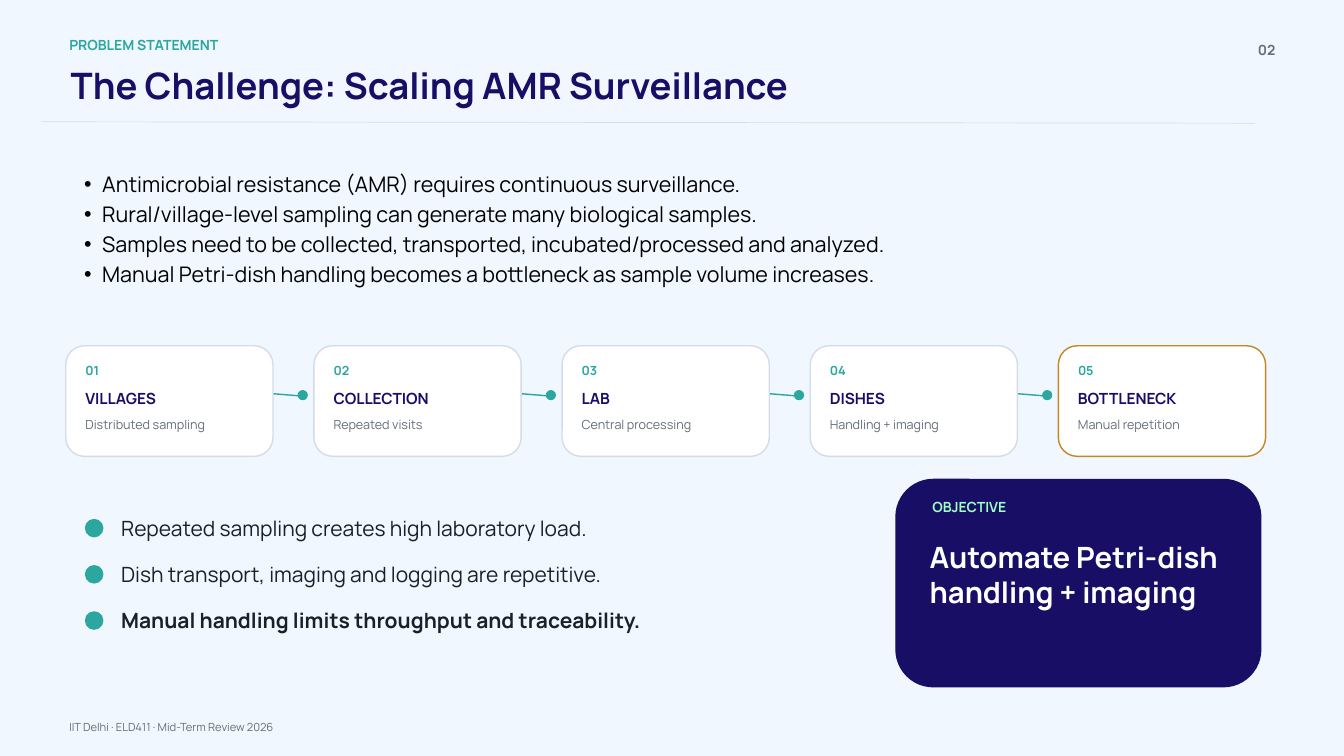
from lxml.etree import SubElement
from pptx import Presentation
from pptx.dml.color import RGBColor as RGB
from pptx.enum.shapes import MSO_CONNECTOR as LINK, MSO_SHAPE as SHAPE
from pptx.enum.text import MSO_ANCHOR as ANCHOR, MSO_AUTO_SIZE as FIT, PP_ALIGN as ALIGN
from pptx.oxml.ns import qn
from pptx.util import Pt

SCALE = 9525
FACE = "Manrope"
TEAL, NAVY, GREY, WHITE = "2BA7A0", "180E66", "646E7A", "FFFFFF"
INK, RULE, GOLD, MINT, BLACK, SKY = "19202A", "D5DBE8", "C48723", "9FFFC0", "000000", "F0F7FF"

FACTS = [
    "Antimicrobial resistance (AMR) requires continuous surveillance.",
    "Rural/village-level sampling can generate many biological samples.",
    "Samples need to be collected, transported, incubated/processed and analyzed.",
    "Manual Petri-dish handling becomes a bottleneck as sample volume increases.",
]
STEPS = [
    ("VILLAGES", "Distributed sampling"),
    ("COLLECTION", "Repeated visits"),
    ("LAB", "Central processing"),
    ("DISHES", "Handling + imaging"),
    ("BOTTLENECK", "Manual repetition"),
]
POINTS = [
    "Repeated sampling creates high laboratory load.",
    "Dish transport, imaging and logging are repetitive.",
    "Manual handling limits throughput and traceability.",
]


def px(*nums):
    return [round(n * SCALE) for n in nums]


def tint(code):
    return RGB.from_string(code)


def write(shape, text, size, color, bold=False, lead=None, align=ALIGN.LEFT):
    frame = shape.text_frame
    frame.text = text
    frame.word_wrap = True
    frame.auto_size = FIT.NONE
    frame.vertical_anchor = ANCHOR.TOP
    frame.margin_left = frame.margin_top = frame.margin_right = frame.margin_bottom = 0
    for para in frame.paragraphs:
        para.alignment = align
        para.line_spacing = Pt(lead or size * 1.2)
        para.space_before = para.space_after = Pt(0)
        for run in para.runs:
            font = run.font
            font.name, font.size, font.bold = FACE, Pt(size), bold
            font.color.rgb = tint(color)


def label(slide, box, text, size, color, bold=False, align=ALIGN.LEFT):
    write(slide.shapes.add_textbox(*px(*box)), text, size, color, bold, align=align)


def place(shape, box):
    shape.left, shape.top, shape.width, shape.height = px(*box)


def block(slide, kind, box, fill, edge, width, curve=None):
    shape = slide.shapes.add_shape(kind, *px(*box))
    shape.shadow.inherit = False
    shape.fill.solid()
    shape.fill.fore_color.rgb = tint(fill)
    shape.line.color.rgb = tint(edge)
    shape.line.width = Pt(width)
    if curve:
        shape.adjustments[0] = curve


def dot(slide, x, y, size):
    block(slide, SHAPE.OVAL, (x, y, size, size), TEAL, TEAL, 1.13)


def link(slide, ends, color, width):
    line = slide.shapes.add_connector(LINK.STRAIGHT, *px(*ends))
    line.line.color.rgb = tint(color)
    line.line.width = Pt(width)
    SubElement(line._element.spPr, qn("a:effectLst"))


def header(slide, x, y):
    label(slide, (x + 39, y, 828, 37), "PROBLEM STATEMENT", 15, TEAL, True)
    title = slide.shapes.title
    place(title, (x + 41, y + 38, 1707, 85))
    write(title, "The Challenge: Scaling AMR Surveillance", 39, NAVY, True)
    link(slide, (x, y + 122, x + 1733, y + 124), RULE, 0.75)
    label(slide, (x + 1704, y + 8, 58, 35), "02", 15, GREY, True, ALIGN.RIGHT)


def facts(slide, box):
    body = slide.placeholders[1]
    place(body, box)
    write(body, "\n".join(FACTS), 23, BLACK, lead=32.2)
    for para in body.text_frame.paragraphs:
        props = para._p.get_or_add_pPr()
        left, hang = px(52, -26)
        props.set("marL", str(left))
        props.set("indent", str(hang))
        SubElement(props, qn("a:buChar")).set("char", "•")


def flow(slide, x, y, wide, high, span):
    last = len(STEPS) - 1
    pitch = (span - wide) / last
    for i, (name, note) in enumerate(STEPS):
        left = x + i * pitch
        if i < last:
            link(slide, (left + 290, y + 68, left + 340, y + 72), TEAL, 1.5)
            dot(slide, left + 332, y + 64, 13)
        edge = GOLD if i == last else RULE
        block(slide, SHAPE.ROUNDED_RECTANGLE, (left, y, wide, high), WHITE, edge, 1.5, 0.17)
        label(slide, (left + 28, y + 24, 41, 23), f"{i + 1:02}", 13.5, TEAL, True)
        label(slide, (left + 28, y + 62, 240, 27), name, 16.5, NAVY, True)
        label(slide, (left + 28, y + 102, 240, 23), note, 13.5, GREY)


def points(slide, x, y, pitch):
    for i, text in enumerate(POINTS):
        top = y + i * pitch
        dot(slide, x, top + 6, 25)
        label(slide, (x + 51, top, 1030, 41), text, 22.5, INK, i == len(POINTS) - 1)


def goal(slide, x, y, wide, high):
    block(slide, SHAPE.ROUNDED_RECTANGLE, (x, y, wide, high), NAVY, NAVY, 1.5, 0.18)
    label(slide, (x + 52, y + 27, 418, 32), "OBJECTIVE", 15, MINT, True)
    label(slide, (x + 48, y + 85, 433, 153), "Automate Petri-dish\nhandling + imaging", 31.4, WHITE, True)


def main():
    deck = Presentation()
    deck.slide_width, deck.slide_height = px(1920, 1080)
    slide = deck.slides.add_slide(deck.slide_layouts[1])
    fill = slide.background.fill
    fill.solid()
    fill.fore_color.rgb = tint(SKY)
    header(slide, 60, 52)
    facts(slide, (94, 238, 1798, 168))
    flow(slide, 94, 494, 296, 158, 1714)
    points(slide, 122, 736, 66)
    goal(slide, 1280, 685, 521, 296)
    label(slide, (99, 1029, 1145, 22), "IIT Delhi · ELD411 · Mid-Term Review 2026", 12, GREY)
    deck.save("out.pptx")


if __name__ == "__main__":
    main()
